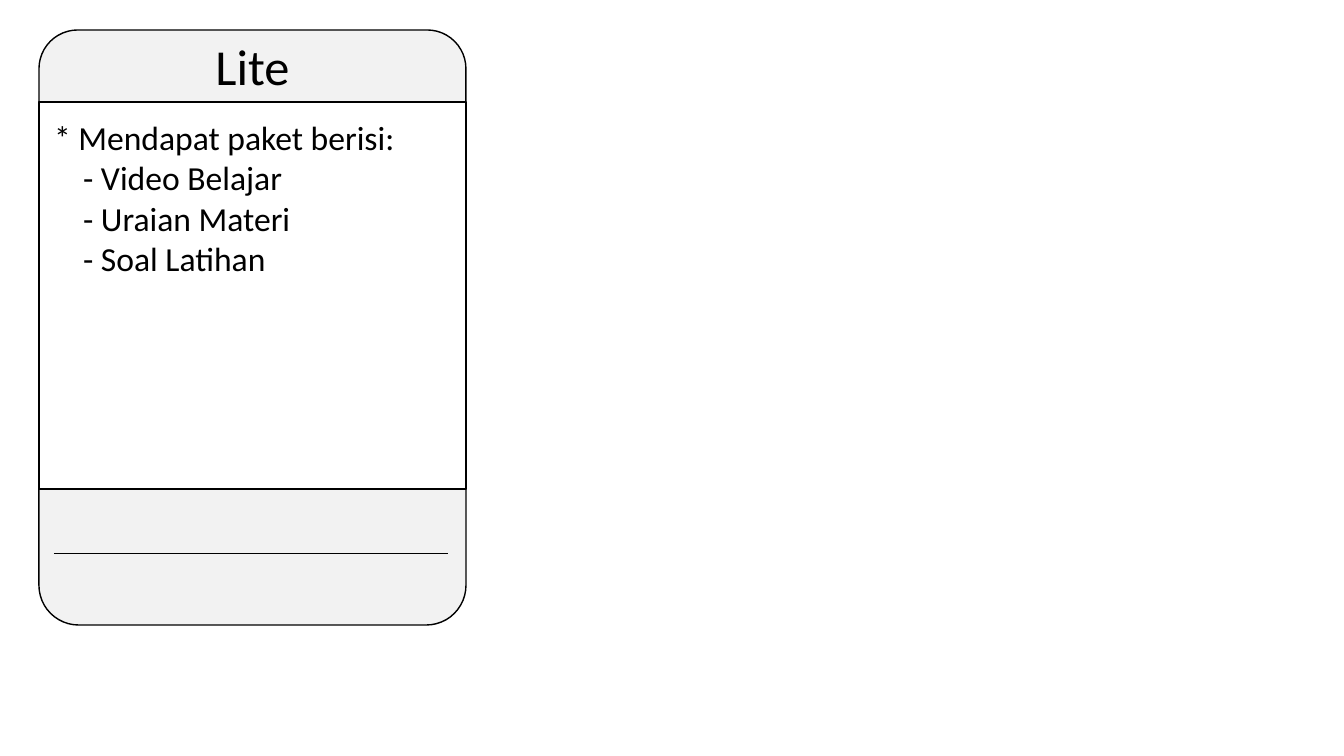
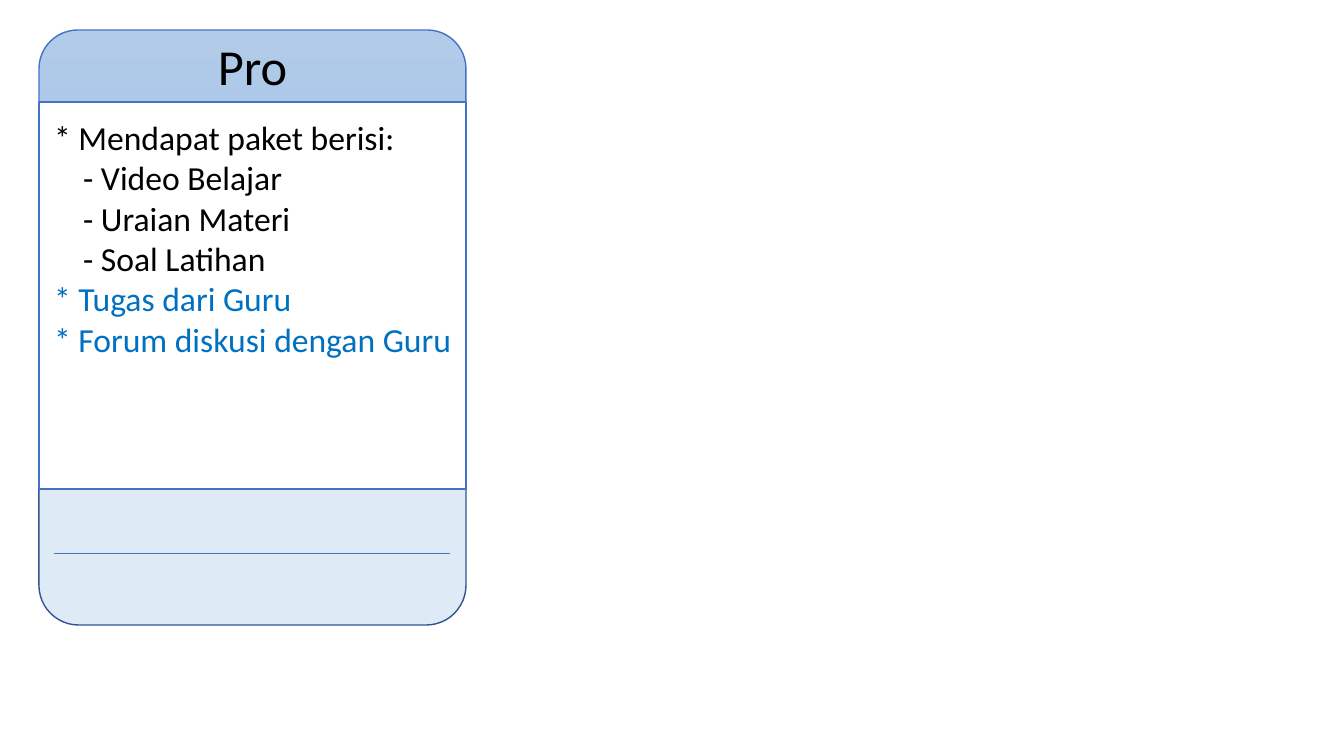
from lxml.etree import SubElement
from pptx import Presentation
from pptx.dml.color import RGBColor
from pptx.enum.shapes import MSO_CONNECTOR, MSO_SHAPE
from pptx.enum.text import MSO_ANCHOR, MSO_AUTO_SIZE, PP_ALIGN
from pptx.oxml.ns import qn
from pptx.util import Emu, Pt

SCALE = 914400 / 100.8
FONT = "Calibri"
COLORS = {
    "black": "000000", "white": "FFFFFF", "grey": "F2F2F2",
    "blue": "4472C4", "navy": "325491", "pale": "DEEBF7",
    "light": "B1CBE9", "mid": "93B9E4", "accent": "0070C0",
}
LEFT, TOP, WIDTH = 39, 30, 427
HEAD = 72
ROUND = 0.093
BASICS = [
    ("* Mendapat paket berisi:", 0, "black"),
    ("- Video Belajar", 29, "black"),
    ("- Uraian Materi", 29, "black"),
    ("- Soal Latihan", 29, "black"),
]
EXTRAS = [
    ("* Tugas dari Guru", 0, "accent"),
    ("* Forum diskusi dengan Guru", 0, "accent"),
]
PLANS = [
    {"name": "Lite", "items": BASICS, "head": ["grey"], "foot": "grey",
     "edge": "black", "base": "black", "rule": 394},
    {"name": "Pro", "items": BASICS + EXTRAS, "head": ["light", "mid"],
     "foot": "pale", "edge": "blue", "base": "navy", "rule": 396},
]


def px(num):
    """Turn pixels into EMU."""
    return Emu(round(num * SCALE))


def rgb(name):
    """Look up a named colour."""
    return RGBColor.from_string(COLORS[name])


def panel(slide, top, height, fills, edge, bend=ROUND):
    """Draw one panel of the card, plain or with a downward gradient."""
    shape = slide.shapes.add_shape(
        MSO_SHAPE.ROUNDED_RECTANGLE, px(LEFT), px(top), px(WIDTH), px(height))
    shape.adjustments[0] = bend
    shape.shadow.inherit = False
    if len(fills) == 1:
        shape.fill.solid()
        shape.fill.fore_color.rgb = rgb(fills[0])
    else:
        shape.fill.gradient()
        shape.fill.gradient_angle = 270
        for stop, name in zip(shape.fill.gradient_stops, fills):
            stop.color.rgb = rgb(name)
    shape.line.color.rgb = rgb(edge)
    shape.line.width = Pt(1)


def rule(slide, left, top, width, color):
    """Draw a thin level line."""
    line = slide.shapes.add_connector(
        MSO_CONNECTOR.STRAIGHT, px(left), px(top), px(left + width), px(top))
    line.line.color.rgb = rgb(color)
    line.line.width = Pt(0.5)
    SubElement(line._element.spPr, qn("a:effectLst"))


def write(para, text, size=24, color="black", align=PP_ALIGN.LEFT, indent=0):
    """Fill a paragraph with formatted text without a bullet."""
    run = para.add_run()
    run.text = text
    run.font.name = FONT
    run.font.size = Pt(size)
    run.font.color.rgb = rgb(color)
    para.alignment = align
    para.line_spacing = 1.0
    para.space_before = para.space_after = Pt(0)
    props = para._p.get_or_add_pPr()
    props.set("marL", str(px(indent)))
    props.set("indent", "0")
    SubElement(props, qn("a:buNone"))


def place(slide, holder, box, anchor):
    """Move a placeholder to the front and into its box."""
    holder.left, holder.top, holder.width, holder.height = map(px, box)
    slide.shapes._spTree.append(holder._element)
    frame = holder.text_frame
    frame.word_wrap = True
    frame.auto_size = MSO_AUTO_SIZE.NONE
    frame.vertical_anchor = anchor
    return frame


def card(slide, plan):
    """Build the card of one plan."""
    split = TOP + HEAD
    panel(slide, TOP, 417, plan["head"], plan["edge"])
    panel(slide, split, 523, [plan["foot"]], plan["base"])
    panel(slide, split, 387, ["white"], plan["edge"], bend=0)

    title = place(slide, slide.shapes.title, (LEFT, TOP, WIDTH, HEAD),
                  MSO_ANCHOR.TOP)
    write(title.paragraphs[0], plan["name"], size=36, align=PP_ALIGN.CENTER)

    items = plan["items"]
    body = place(slide, slide.placeholders[1],
                 (44, 112, 423, 10 + 41 * len(items)), MSO_ANCHOR.TOP)
    for num, (text, indent, color) in enumerate(items):
        para = body.add_paragraph() if num else body.paragraphs[0]
        write(para, text, color=color, indent=indent)
    rule(slide, 54, 553, plan["rule"], plan["edge"])


def main():
    """Make one slide for each plan and save the deck."""
    deck = Presentation()
    deck.slide_width, deck.slide_height = px(1344), px(756)
    for plan in PLANS:
        card(deck.slides.add_slide(deck.slide_layouts[1]), plan)
    deck.save("out.pptx")


main()
